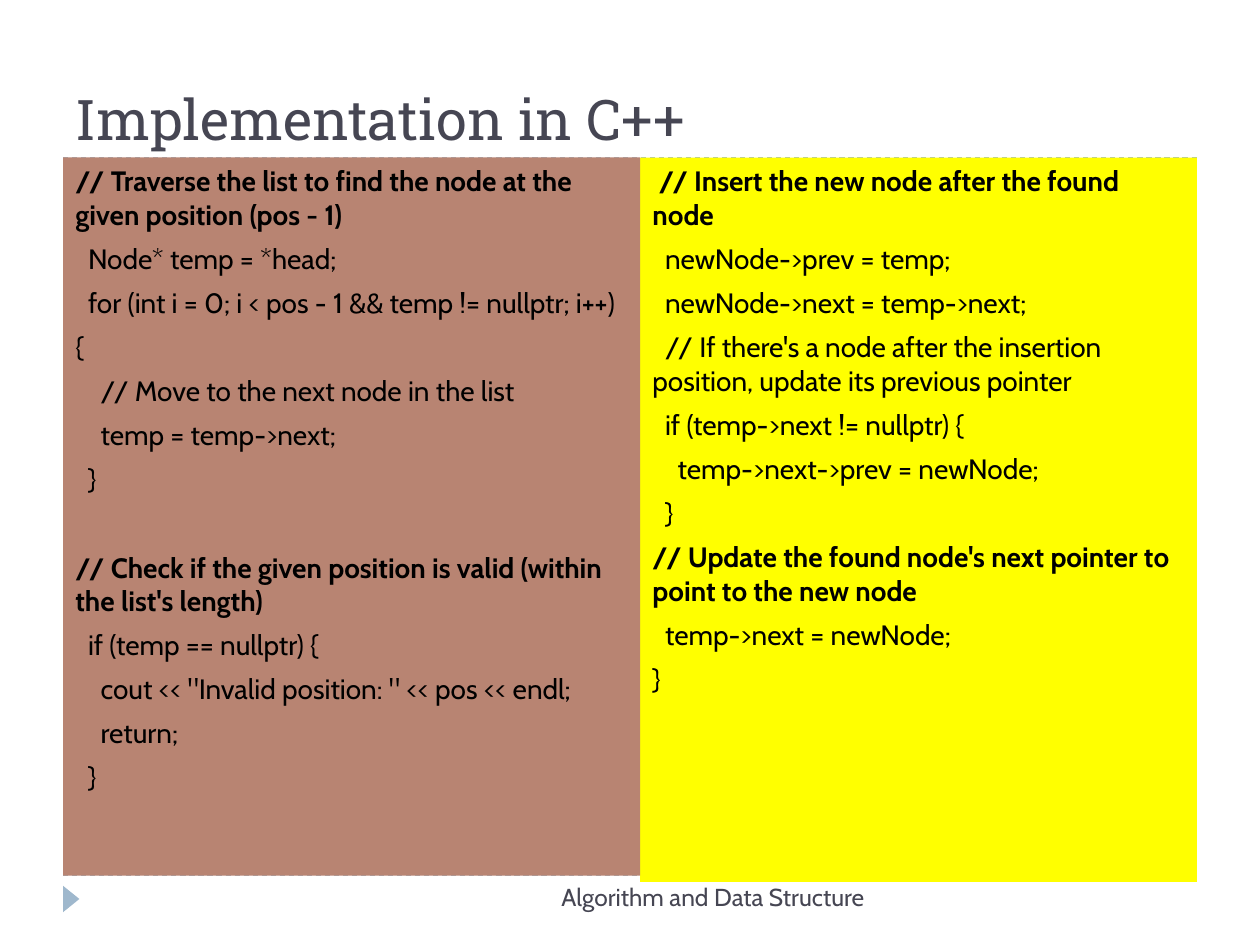
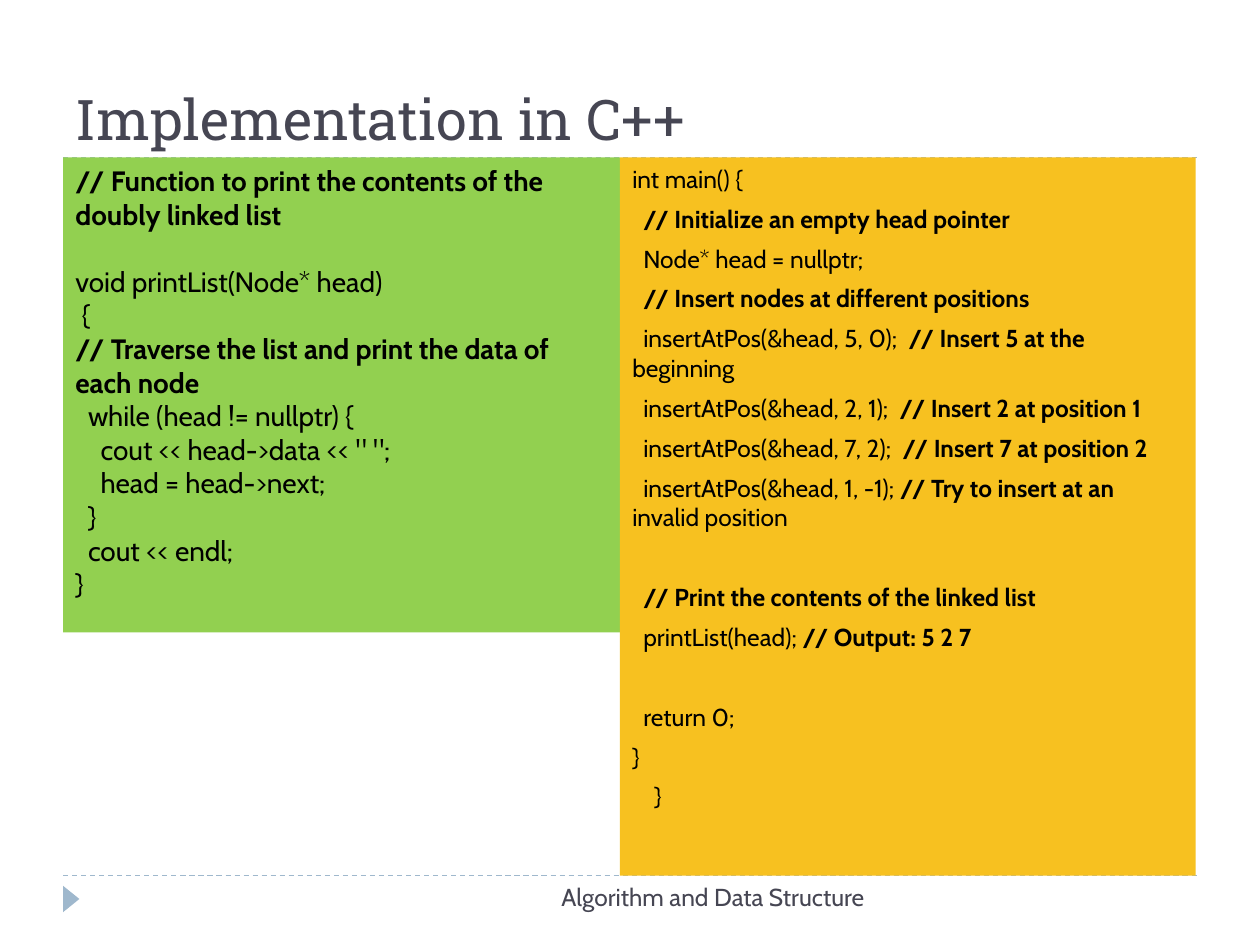
from pptx import Presentation
from pptx.dml.color import RGBColor
from pptx.enum.dml import MSO_LINE
from pptx.enum.shapes import MSO_CONNECTOR, MSO_SHAPE
from pptx.enum.text import MSO_ANCHOR, PP_ALIGN
from pptx.oxml.ns import qn
from pptx.util import Inches, Pt
from lxml.etree import SubElement

# Content: code lines are (text, depth) or (text, depth, blank line above);
# parts between bars are bold
TITLE = "Implementation in C++"
FOOTER = "Algorithm and Data Structure"

INSERT = [
    ("|// Insert the new node after the found node|", 0.5),
    ("newNode->prev = temp;", 1),
    ("newNode->next = temp->next;", 1),
    ("// If there's a node after the insertion position, "
     "update its previous pointer", 1),
    ("if (temp->next != nullptr) {", 1),
    ("temp->next->prev = newNode;", 2),
    ("}", 1),
    ("|// Update the found node's next pointer to point to the new node|", 0),
    ("temp->next = newNode;", 1),
    ("}", 0),
]
FIND = [
    ("|// Traverse the list to find the node at the given position (pos - 1)|",
     0),
    ("Node* temp = *head;", 1),
    ("for (int i = 0; i < pos - 1 && temp != nullptr; i++)", 1),
    ("{", 0),
    ("// Move to the next node in the list", 2),
    ("temp = temp->next;", 2),
    ("}", 1),
    ("|// Check if the given position is valid (within the list's length)|",
     0, True),
    ("if (temp == nullptr) {", 1),
    ('cout << "Invalid position: " << pos << endl;', 2),
    ("return;", 2),
    ("}", 1),
]
PRINT = [
    ("|// Function to print the contents of the doubly linked list|", 0),
    ("void printList(Node* head)", 0, True),
    ("{", 0.5),
    ("|// Traverse the list and print the data of each node|", 0),
    ("while (head != nullptr) {", 1),
    ('cout << head->data << " ";', 2),
    ("head = head->next;", 2),
    ("}", 1),
    ("cout << endl;", 1),
    ("}", 0),
]
MAIN = [
    ("int main() {", 0),
    ("|// Initialize an empty head pointer|", 1),
    ("Node* head = nullptr;", 1),
    ("|// Insert nodes at different positions|", 1),
    ("insertAtPos(&head, 5, 0);  |// Insert 5 at the |beginning", 1),
    ("insertAtPos(&head, 2, 1);  |// Insert 2 at position 1|", 1),
    ("insertAtPos(&head, 7, 2);  |// Insert 7 at position 2|", 1),
    ("insertAtPos(&head, 1, -1); |// Try to insert at an |invalid position",
     1),
    ("|// Print the contents of the linked list|", 1, True),
    ("printList(head); |// Output: 5 2 7|", 1),
    ("return 0;", 1, True),
    ("}", 0),
    ("}", 2),
]

# Colours and fonts
SLATE = RGBColor(0x46, 0x46, 0x53)
STEEL = RGBColor(0x9F, 0xB8, 0xCD)
BLACK = RGBColor(0, 0, 0)
YELLOW = RGBColor(0xFF, 0xFF, 0)
BROWN = RGBColor(0xB8, 0x84, 0x72)
GREEN = RGBColor(0x92, 0xD0, 0x50)
AMBER = RGBColor(0xF7, 0xC1, 0x20)
HEAD, BODY = "Roboto Slab", "Cabin"

# Page grid, in inches
LEFT, RIGHT, TOP, FOOT = 0.5, 9.5, 1.25, 6.95

# Panels: lines, fill, left, width, height, text size, space before
SLIDES = [
    [(INSERT, YELLOW, 5.08, 4.42, 5.75, 16, 6),
     (FIND, BROWN, LEFT, 4.58, FOOT - TOP, 16, 6)],
    [(PRINT, GREEN, LEFT, 4.42, 3.77, 16, 0),
     (MAIN, AMBER, 4.92, 4.57, FOOT - TOP, 14, 6)],
]


def style(item, **look):
    for name, value in look.items():
        setattr(item, name, value)


def write(par, text, color, **look):
    """Add text to a paragraph; parts between bars are bold."""
    for i, part in enumerate(text.split("|")):
        if part:
            run = par.add_run()
            run.text = part
            style(run.font, bold=i % 2 == 1, **look)
            run.font.color.rgb = color


def block(slide, shape, box, fill):
    """Add a flat, filled shape without an outline."""
    item = slide.shapes.add_shape(shape, *map(Inches, box))
    item.shadow.inherit = False
    item.fill.solid()
    item.fill.fore_color.rgb = fill
    item.line.fill.background()
    return item


def label(slide, box, text, anchor, align, **look):
    frame = slide.shapes.add_textbox(*map(Inches, box)).text_frame
    style(frame, word_wrap=True, vertical_anchor=anchor)
    par = frame.paragraphs[0]
    par.alignment = align
    write(par, text, SLATE, **look)


def rule(slide, y):
    line = slide.shapes.add_connector(
        MSO_CONNECTOR.STRAIGHT, *map(Inches, (LEFT, y, RIGHT, y)))
    style(line.line, width=Pt(0.75), dash_style=MSO_LINE.DASH)
    line.line.color.rgb = STEEL
    SubElement(line._element.spPr, qn("a:effectLst"))


def base(slide):
    """Add the rules, marker, title and footer that all slides share."""
    for y in (FOOT, TOP):
        rule(slide, y)
    mark = block(slide, MSO_SHAPE.ISOSCELES_TRIANGLE,
                 (0.46, 7.07, 0.21, 0.13), STEEL)
    mark.rotation = 90
    label(slide, (LEFT, 0.25, RIGHT - LEFT, 1), TITLE, MSO_ANCHOR.BOTTOM,
          PP_ALIGN.LEFT, name=HEAD, size=Pt(32))
    label(slide, (3.17, FOOT, 3.79, 0.4), FOOTER, MSO_ANCHOR.TOP,
          PP_ALIGN.RIGHT, name=BODY, size=Pt(14))


def panel(slide, lines, fill, left, width, height, size, space):
    item = block(slide, MSO_SHAPE.RECTANGLE, (left, TOP, width, height), fill)
    frame = item.text_frame
    style(frame, word_wrap=True, vertical_anchor=MSO_ANCHOR.TOP)
    step = Inches(size / 160)
    blank = 1.2 * size + space
    for i, (text, depth, *gap) in enumerate(lines):
        par = frame.add_paragraph() if i else frame.paragraphs[0]
        style(par, alignment=PP_ALIGN.LEFT,
              space_before=Pt(space + (blank if gap else 0)))
        # Only the first line is indented; wrapped lines start at the edge
        props = par._p.get_or_add_pPr()
        props.set("marL", "0")
        props.set("indent", str(int(depth * step)))
        write(par, text, BLACK, name=BODY, size=Pt(size))


def main():
    deck = Presentation()
    style(deck, slide_width=Inches(10), slide_height=Inches(7.5))
    for panels in SLIDES:
        slide = deck.slides.add_slide(deck.slide_layouts[6])
        base(slide)
        for spec in panels:
            panel(slide, *spec)
    deck.save("out.pptx")


if __name__ == "__main__":
    main()
